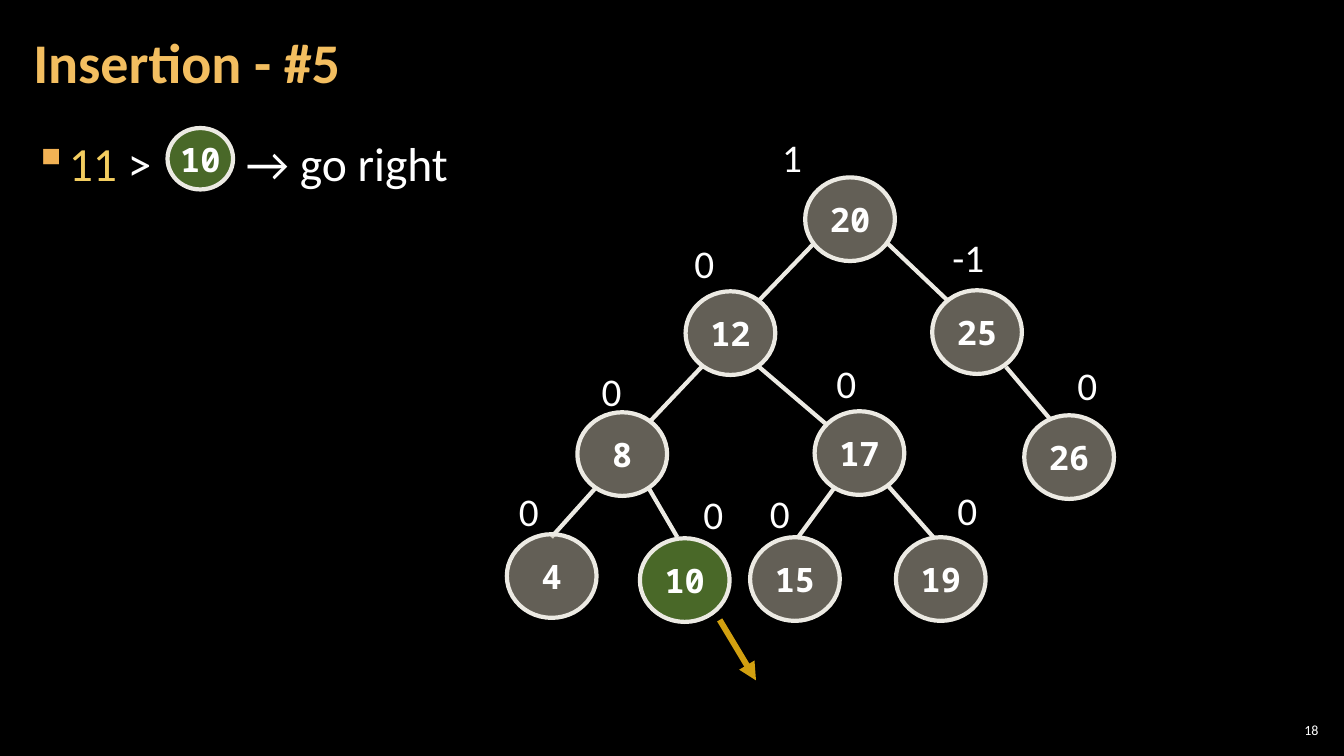
"""Build the slide showing step 5 of an insertion into a balanced search tree."""
from dataclasses import dataclass
from typing import Optional

from lxml.etree import SubElement
from pptx import Presentation
from pptx.dml.color import RGBColor
from pptx.enum.shapes import MSO_CONNECTOR as Connector, MSO_SHAPE as Shape
from pptx.enum.text import MSO_ANCHOR as Anchor, MSO_AUTO_SIZE as AutoSize, PP_ALIGN as Align
from pptx.oxml.ns import qn
from pptx.util import Inches, Pt

BLACK = RGBColor(0x00, 0x00, 0x00)
WHITE = RGBColor(0xFF, 0xFF, 0xFF)
TITLE_GOLD = RGBColor(0xF3, 0xBE, 0x60)
KEY_GOLD = RGBColor(0xF3, 0xCD, 0x60)
BULLET_GOLD = RGBColor(0xF2, 0xB2, 0x54)
ARROW_GOLD = RGBColor(0xD2, 0xA0, 0x10)
OUTLINE = RGBColor(0xEC, 0xEA, 0xE3)
STONE = RGBColor(0xC7, 0xBF, 0xAC)
GREEN = RGBColor(0x92, 0xD0, 0x50)

BODY_FONT, KEY_FONT = "Calibri", "Noto Sans Mono"
SLIDE_WIDTH, SLIDE_HEIGHT = Inches(13.33), Inches(7.5)
COLUMNS, ROWS = 40, 30
NODE_SIZE = (2.67, 3.32)
INLINE_NODE_SIZE = (1.95, 2.44)


@dataclass(frozen=True)
class Edge:
    """A line between two grid points."""
    x1: float
    y1: float
    x2: float
    y2: float


@dataclass(frozen=True)
class Node:
    """A tree node by its centre, with its balance label and the edge from its parent."""
    key: str
    x: float
    y: float
    balance: str = ""
    label_x: float = 0
    label_y: float = 0
    edge: Optional[Edge] = None
    fill: RGBColor = STONE


TREE = (
    Node("20", 25.3, 8.7, "1", 22.98, 5.08),
    Node("25", 29.08, 13.18, "-1", 28.05, 9.08, Edge(26.4, 9.64, 28.2, 11.92)),
    Node("12", 21.74, 13.22, "0", 20.37, 9.32, Edge(24.21, 9.68, 22.59, 11.92)),
    Node("8", 18.52, 18.02, "0", 17.61, 14.36, Edge(20.91, 14.52, 19.32, 16.76)),
    Node("17", 25.58, 17.98, "0", 24.6, 14.08, Edge(22.59, 14.56, 24.63, 16.88)),
    Node("26", 31.82, 18.14, "0", 31.77, 14.16, Edge(29.94, 14.56, 31.26, 16.64)),
    Node("4", 16.42, 22.86, "0", 15.15, 19.16, Edge(17.73, 19.36, 16.41, 21.32)),
    Node("10", 20.38, 23.02, "0", 20.64, 19.28, Edge(19.32, 19.4, 20.16, 21.32), GREEN),
    Node("15", 23.66, 22.98, "0", 22.62, 19.24, Edge(24.81, 19.4, 23.73, 21.36)),
    Node("19", 28, 22.98, "0", 28.2, 19.12, Edge(26.43, 19.28, 27.78, 21.32)),
)
COMPARED_NODE = Node("10", 5.96, 6.3, fill=GREEN)
NEXT_STEP = Edge(21.42, 24.6, 22.5, 27)


def across(columns: float) -> int:
    """Convert grid columns to a length."""
    return round(SLIDE_WIDTH * columns / COLUMNS)


def down(rows: float) -> int:
    """Convert grid rows to a length."""
    return round(SLIDE_HEIGHT * rows / ROWS)


def add_run(paragraph, text: str, size: float, color: RGBColor,
            font: str = BODY_FONT, bold: bool = False) -> None:
    """Append one formatted run."""
    run = paragraph.add_run()
    run.text = text
    run.font.size, run.font.name, run.font.bold = Pt(size), font, bold
    run.font.color.rgb = color


def add_text_frame(slide, left: float, top: float, width: float, height: float,
                   side: float = 0.12, anchor: Anchor = Anchor.TOP):
    """Add a wrapping text box and return its frame."""
    frame = slide.shapes.add_textbox(across(left), down(top), across(width), down(height)).text_frame
    frame.word_wrap, frame.vertical_anchor = True, anchor
    frame.margin_left = frame.margin_right = Inches(side)
    frame.margin_top = frame.margin_bottom = Inches(0.04)
    return frame


def add_edge(slide, edge: Edge, color: RGBColor = OUTLINE, width: float = 3, arrow: bool = False) -> None:
    """Draw a line, with an arrowhead at its end if asked."""
    line = slide.shapes.add_connector(Connector.STRAIGHT, across(edge.x1), down(edge.y1),
                                      across(edge.x2), down(edge.y2))
    line.line.color.rgb, line.line.width = color, Pt(width)
    if arrow:
        SubElement(line.line._get_or_add_ln(), qn("a:tailEnd"), type="triangle")
    SubElement(line._element.spPr, qn("a:effectLst"))


def add_node(slide, node: Node, size: tuple[float, float] = NODE_SIZE) -> None:
    """Draw a half-transparent node holding its key."""
    width, height = size
    oval = slide.shapes.add_shape(Shape.OVAL, across(node.x - width / 2), down(node.y - height / 2),
                                  across(width), down(height))
    oval.shadow.inherit = False
    oval.fill.solid()
    oval.fill.fore_color.rgb = node.fill
    tint = oval._element.spPr.find(qn("a:solidFill")).find(qn("a:srgbClr"))
    SubElement(tint, qn("a:alpha"), val="50000")
    oval.line.color.rgb, oval.line.width = OUTLINE, Pt(3)
    frame = oval.text_frame
    frame.word_wrap, frame.vertical_anchor = False, Anchor.MIDDLE
    frame.paragraphs[0].alignment = Align.CENTER
    add_run(frame.paragraphs[0], node.key, 24, WHITE, KEY_FONT, True)


def add_balance(slide, node: Node) -> None:
    """Write the balance factor beside a node."""
    width = 1.62 if len(node.balance) > 1 else 1.26
    frame = add_text_frame(slide, node.label_x, node.label_y, width, 2.28, side=0.1)
    frame.margin_top = frame.margin_bottom = Inches(0.05)
    frame.auto_size = AutoSize.SHAPE_TO_FIT_TEXT
    add_run(frame.paragraphs[0], node.balance, 28, WHITE)


def add_comparison(slide) -> None:
    """Write the bulleted comparison, with a tab leaving room for the inline node."""
    paragraph = add_text_frame(slide, 0.63, 5.04, 38.73, 24.36).paragraphs[0]
    paragraph.line_spacing, paragraph.space_after = 1.05, Pt(6)
    props = paragraph._p.get_or_add_pPr()
    props.set("marL", str(Inches(0.33)))
    props.set("indent", str(-Inches(0.33)))
    SubElement(SubElement(props, qn("a:buClr")), qn("a:srgbClr"), val=str(BULLET_GOLD))
    SubElement(props, qn("a:buChar"), char="▪")
    SubElement(SubElement(props, qn("a:tabLst")), qn("a:tab"), pos=str(Inches(2.11)), algn="l")
    add_run(paragraph, "11", 34, KEY_GOLD)
    add_run(paragraph, " >\t→ go right", 34, WHITE)


def main() -> None:
    """Compose and save the slide."""
    deck = Presentation()
    deck.slide_width, deck.slide_height = SLIDE_WIDTH, SLIDE_HEIGHT
    slide = deck.slides.add_slide(deck.slide_layouts[6])
    slide.background.fill.solid()
    slide.background.fill.fore_color.rgb = BLACK

    page_number = add_text_frame(slide, 37.95, 28.56, 1.41, 0.84, 0.04, Anchor.MIDDLE).paragraphs[0]
    page_number.alignment = Align.RIGHT
    add_run(page_number, "18", 10, WHITE)
    add_comparison(slide)
    title = add_text_frame(slide, 0.63, 0.16, 31.41, 4.84, anchor=Anchor.MIDDLE).paragraphs[0]
    title.line_spacing = 0.9
    add_run(title, "Insertion - #5", 40, TITLE_GOLD, bold=True)

    for node in TREE:
        if node.edge:
            add_edge(slide, node.edge)
    for node in TREE:
        add_node(slide, node)
    for node in TREE:
        add_balance(slide, node)
    add_edge(slide, NEXT_STEP, ARROW_GOLD, 4.25, arrow=True)
    add_node(slide, COMPARED_NODE, INLINE_NODE_SIZE)
    deck.save("out.pptx")


if __name__ == "__main__":
    main()
